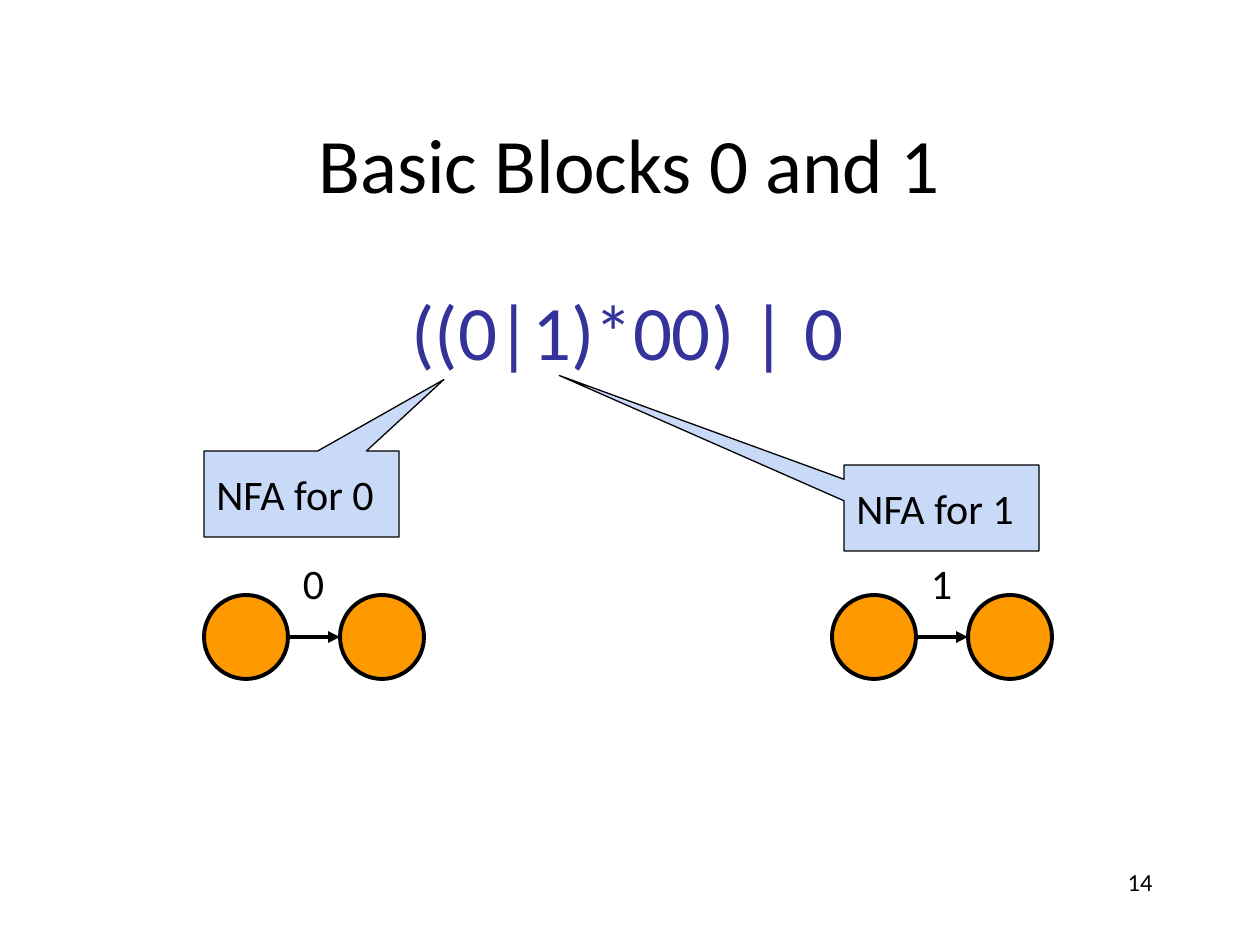
import lxml.etree
import pptx
import pptx.dml.color
import pptx.enum.shapes
import pptx.enum.text
import pptx.oxml.ns
import pptx.util

SCALE = 914400 / 126  # EMU in one px

BLACK = pptx.dml.color.RGBColor(0x00, 0x00, 0x00)
INDIGO = pptx.dml.color.RGBColor(0x33, 0x33, 0x99)
ORANGE = pptx.dml.color.RGBColor(0xFF, 0x99, 0x00)
PALE_BLUE = pptx.dml.color.RGBColor(0xC9, 0xDA, 0xF8)

SHAPE = pptx.enum.shapes.MSO_SHAPE
ALIGN = pptx.enum.text.PP_ALIGN
ANCHOR = pptx.enum.text.MSO_ANCHOR


def px(*lengths):
    return [pptx.util.Emu(round(length * SCALE)) for length in lengths]


def write(shape, text, size=24, color=BLACK, align=ALIGN.LEFT,
          anchor=ANCHOR.TOP, wrap=True):
    frame = shape.text_frame
    frame.word_wrap = wrap
    frame.vertical_anchor = anchor
    paragraph = frame.paragraphs[0]
    paragraph.alignment = align
    run = paragraph.add_run()
    run.text = text
    run.font.name = "Calibri"
    run.font.size = pptx.util.Pt(size)
    run.font.color.rgb = color


class Deck:
    def __init__(self):
        self.presentation = pptx.Presentation()
        self.presentation.slide_width, self.presentation.slide_height = px(1260, 945)
        layout = self.presentation.slide_layouts[5]  # title only
        self.slide = self.presentation.slides.add_slide(layout)

    def title(self, text, box):
        title = self.slide.shapes.title
        title.left, title.top, title.width, title.height = px(*box)
        write(title, text, size=44, align=ALIGN.CENTER, anchor=ANCHOR.MIDDLE)

    def text(self, text, box, shapes=None, **style):
        shapes = shapes or self.slide.shapes
        write(shapes.add_textbox(*px(*box)), text, **style)

    def shape(self, shapes, kind, box, fill, line_width):
        shape = shapes.add_shape(kind, *px(*box))
        shape.shadow.inherit = False
        shape.fill.solid()
        shape.fill.fore_color.rgb = fill
        shape.line.color.rgb = BLACK
        shape.line.width = pptx.util.Pt(line_width)
        return shape

    def arrow(self, shapes, start, end):
        arrow = shapes.add_connector(
            pptx.enum.shapes.MSO_CONNECTOR.STRAIGHT, *px(*start, *end))
        arrow.line.color.rgb = BLACK
        arrow.line.width = pptx.util.Pt(2.25)
        qualified = pptx.oxml.ns.qn
        lxml.etree.SubElement(
            arrow.line._get_or_add_ln(), qualified("a:tailEnd"), type="triangle")
        lxml.etree.SubElement(arrow._element.spPr, qualified("a:effectLst"))

    def automaton(self, symbol, left):
        """Two states joined by an arrow that reads one symbol."""
        top, diameter, pitch = 595, 84, 136
        shapes = self.slide.shapes.add_group_shape().shapes
        for state_left in (left, left + pitch):
            self.shape(shapes, SHAPE.FLOWCHART_CONNECTOR,
                       (state_left, top, diameter, diameter), ORANGE, 2.25)
        middle = top + diameter // 2
        self.arrow(shapes, (left + diameter, middle), (left + pitch, middle))
        self.text(symbol, (left + 77, 551, 65, 65), shapes, align=ALIGN.CENTER)

    def callout(self, text, left, top, pointer):
        callout = self.shape(self.slide.shapes, SHAPE.ROUNDED_RECTANGULAR_CALLOUT,
                             (left, top, 195, 86), PALE_BLUE, 0.75)
        for index, value in enumerate((*pointer, 0)):  # last one: square corners
            callout.adjustments[index] = value
        frame = callout.text_frame
        frame.margin_top = frame.margin_bottom = pptx.util.Inches(0.1)
        write(callout, text, anchor=ANCHOR.MIDDLE)


def main():
    deck = Deck()

    # Page number, title and regular expression
    deck.text("14", (903, 861, 262, 63), size=14, align=ALIGN.RIGHT)
    deck.title("Basic Blocks 0 and 1", (94, 84, 1071, 158))
    deck.text("((0|1)*00) | 0", (399, 277, 462, 106), size=44, color=INDIGO,
              wrap=False)

    # Automata
    deck.automaton("0", 204)
    deck.automaton("1", 832)

    # Callouts pointing at the symbols of the expression
    deck.callout("NFA for 0", 204, 451, (0.73, -1.33))
    deck.callout("NFA for 1", 844, 465, (-1.96, -1.54))

    deck.presentation.save("out.pptx")


if __name__ == "__main__":
    main()
